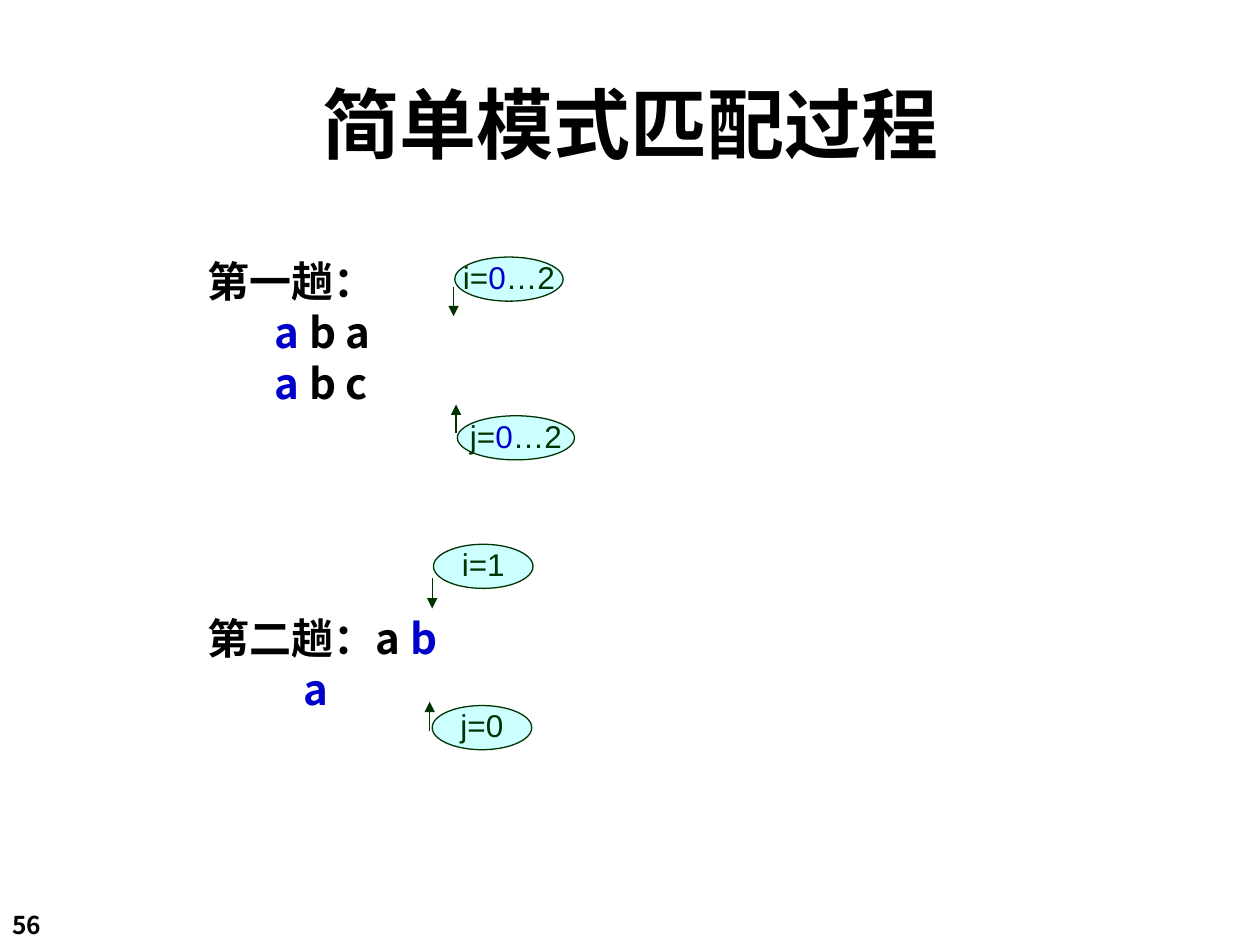
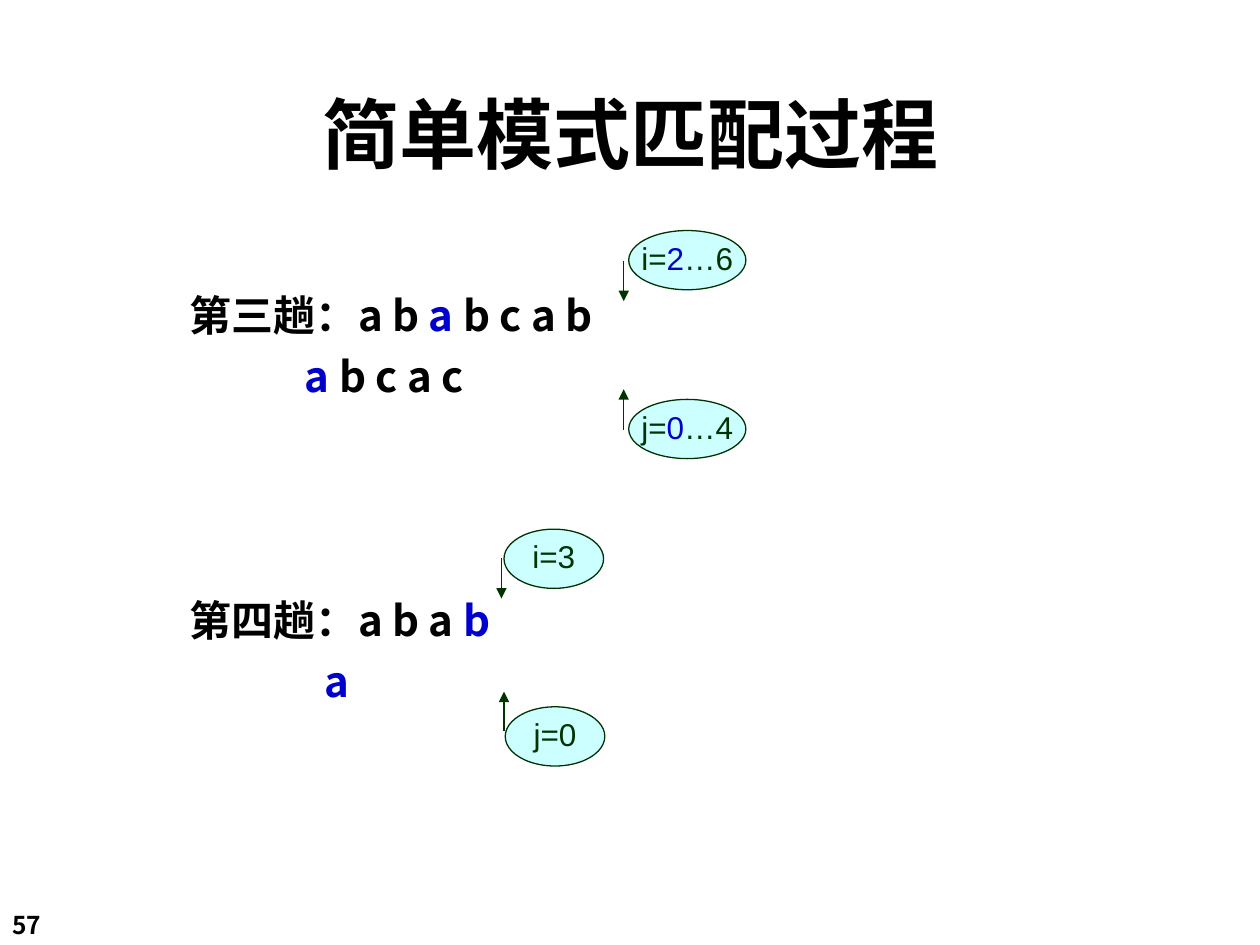
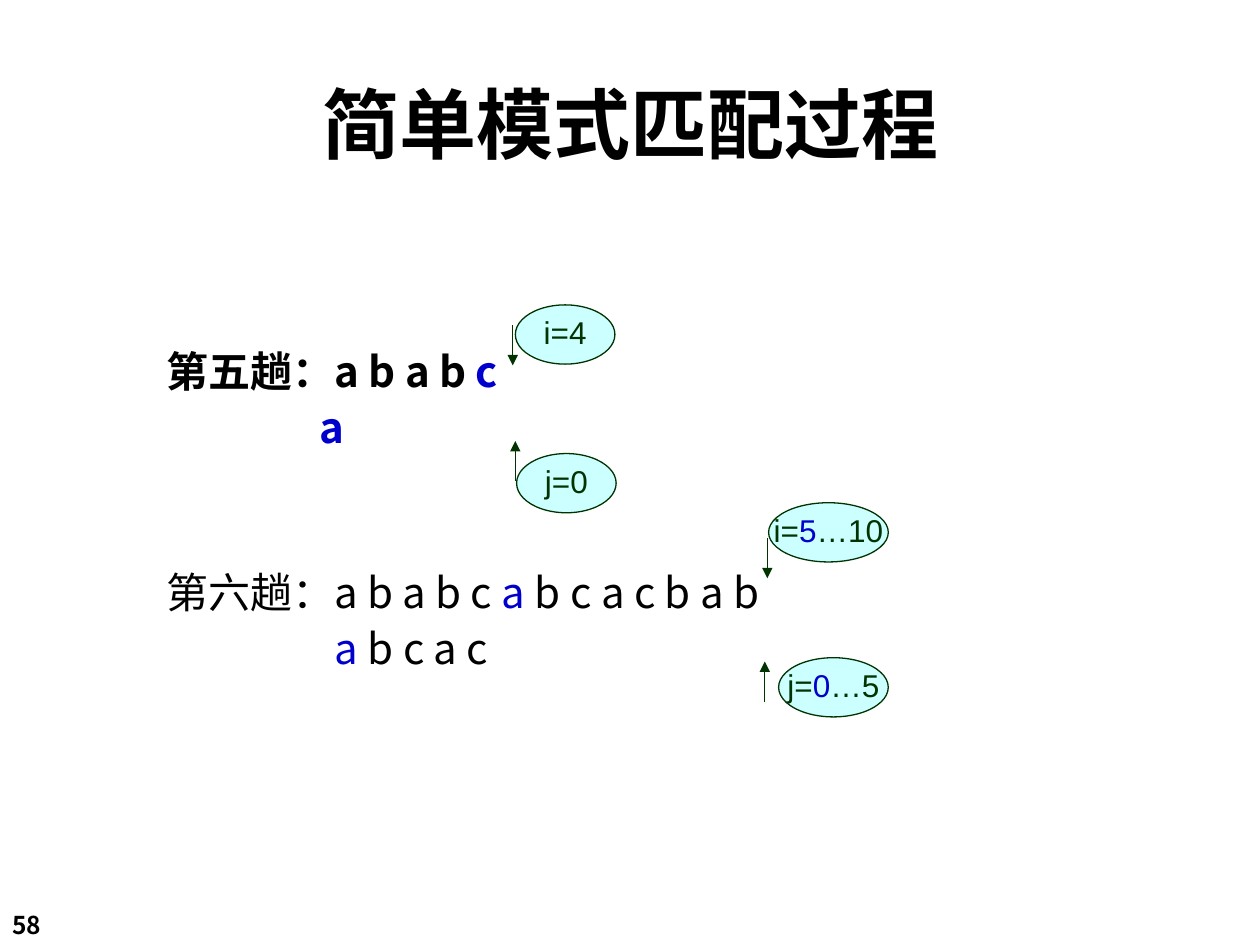
from lxml import etree
from pptx import Presentation
from pptx.dml.color import RGBColor
from pptx.enum.shapes import MSO_CONNECTOR as CONNECTOR, MSO_SHAPE as SHAPE
from pptx.enum.text import MSO_ANCHOR as ANCHOR, PP_ALIGN as ALIGN
from pptx.oxml.ns import qn
from pptx.util import Inches, Pt

BLACK, BLUE, GREEN, CYAN = "000000", "0000CC", "003300", "CCFFFF"
TEXT_FONT, LABEL_FONT = "Noto Sans CJK SC", "Arial"
TITLE = "简单模式匹配过程"
SPACE_WIDTH = 0.076

SLIDES = [
    {
        "number": 56, "title_top": 0.42, "left": 1.55, "pitch": 29,
        "passes": [
            (1.98, True, [(0, ("第一趟：",)), (7, ("", "a", " b a")), (7, ("", "a", " b c"))]),
            (4.81, True, [(0, ("第二趟：a ", "b")), (10, ("", "a"))]),
        ],
        "bubble_height": 0.35,
        "pointers": [
            (("i=", "0", "…2"), (3.61, 2.04, 0.86), (3.6, 2.28, 2.51)),
            (("j=", "0", "…2"), (3.63, 3.3, 0.93), (3.62, 3.44, 3.21)),
            (("i=1",), (3.44, 4.32, 0.79), (3.43, 4.59, 4.83)),
            (("j=0",), (3.43, 5.6, 0.79), (3.41, 5.8, 5.57)),
        ],
    },
    {
        "number": 57, "title_top": 0.5, "left": 1.41, "pitch": 35,
        "passes": [
            (2.16, True, [(0, ("第三趟：a b ", "a", " b c a b")), (12, ("", "a", " b c a c"))]),
            (4.58, True, [(0, ("第四趟：a b a ", "b")), (14, ("", "a"))]),
        ],
        "bubble_height": 0.47,
        "pointers": [
            (("i=", "2", "…6"), (4.99, 1.83, 0.93), (4.95, 2.07, 2.39)),
            (("j=", "0", "…4"), (4.99, 3.17, 0.93), (4.95, 3.41, 3.09)),
            (("i=3",), (4, 4.2, 0.79), (3.98, 4.43, 4.75)),
            (("j=0",), (4.01, 5.61, 0.79), (4, 5.8, 5.49)),
        ],
    },
    {
        "number": 58, "title_top": 0.42, "left": 1.22, "pitch": 32,
        "passes": [
            (2.65, True, [(0, ("第五趟：a b a b ", "c")), (16, ("", "a"))]),
            (4.4, False, [(0, ("第六趟：a b a b c ", "a", " b c a c b a b")),
                          (17.6, ("", "a", " b c a c"))]),
        ],
        "bubble_height": 0.47,
        "pointers": [
            (("i=4",), (4.09, 2.42, 0.79), (4.07, 2.58, 2.9)),
            (("j=0",), (4.1, 3.6, 0.79), (4.09, 3.82, 3.5)),
            (("i=", "5", "…10"), (6.1, 3.99, 0.95), (6.09, 4.27, 4.59)),
            (("j=", "0", "…5"), (6.18, 5.22, 0.87), (6.07, 5.57, 5.25)),
        ],
    },
]


def color(hex_code):
    """Turn a hex string into a colour."""
    return RGBColor.from_string(hex_code)


def write(paragraph, parts, font, size, ink, bold=False):
    """Fill a paragraph with plain, highlighted and plain parts."""
    for part, shade in zip(parts, (ink, BLUE, ink)):
        if not part:
            continue
        run = paragraph.add_run()
        run.text = part
        run.font.name = font
        run.font.size = Pt(size)
        run.font.bold = bold
        run.font.color.rgb = color(shade)
        east_asian = etree.SubElement(run.font._element, qn("a:ea"))
        east_asian.set("typeface", font)


def add_text(slide, box, lines, size, pitch, bold=True):
    """Add a text box whose lines are (indent in spaces, parts) pairs."""
    frame = slide.shapes.add_textbox(*map(Inches, box)).text_frame
    frame.word_wrap = True
    for index, (indent, parts) in enumerate(lines):
        paragraph = frame.add_paragraph() if index else frame.paragraphs[0]
        paragraph.line_spacing = Pt(pitch)
        if indent:
            properties = paragraph._p.get_or_add_pPr()
            properties.set("marL", str(Inches(indent * SPACE_WIDTH)))
            properties.set("indent", "0")
        write(paragraph, parts, TEXT_FONT, size, BLACK, bold)
    return frame


def add_title(slide, top):
    """Add the centred slide title."""
    frame = add_text(slide, (0.42, top, 9.17, 1), [(0, (TITLE,))], 44, 61)
    frame.vertical_anchor = ANCHOR.MIDDLE
    frame.paragraphs[0].alignment = ALIGN.CENTER


def add_arrow(slide, x, start, end):
    """Add a vertical arrow pointing at a character."""
    arrow = slide.shapes.add_connector(
        CONNECTOR.STRAIGHT, Inches(x), Inches(start), Inches(x), Inches(end))
    arrow.line.color.rgb = color(GREEN)
    arrow.line.width = Pt(0.75)
    etree.SubElement(arrow.line._get_or_add_ln(), qn("a:tailEnd"), type="triangle")
    etree.SubElement(arrow._element.spPr, qn("a:effectLst"))


def add_bubble(slide, parts, box):
    """Add an ellipse that shows an index value."""
    bubble = slide.shapes.add_shape(SHAPE.OVAL, *map(Inches, box))
    bubble.shadow.inherit = False
    bubble.fill.solid()
    bubble.fill.fore_color.rgb = color(CYAN)
    bubble.line.color.rgb = color(GREEN)
    bubble.line.width = Pt(0.75)
    frame = bubble.text_frame
    frame.word_wrap = False
    frame.vertical_anchor = ANCHOR.MIDDLE
    label = frame.paragraphs[0]
    label.alignment = ALIGN.CENTER
    label.line_spacing = 0.9
    write(label, parts, LABEL_FONT, 18, GREEN)


def add_slide(deck, content):
    """Build one slide of matching passes."""
    slide = deck.slides.add_slide(deck.slide_layouts[6])
    add_text(slide, (0, 7.17, 0.83, 0.34), [(0, (str(content["number"]),))], 14, 17)
    pitch = content["pitch"]
    for top, bold, lines in content["passes"]:
        add_text(slide, (content["left"], top, 6.6, 1.3), lines, 24, pitch, bold)
    for parts, (left, top, width), arrow in content["pointers"]:
        add_arrow(slide, *arrow)
        add_bubble(slide, parts, (left, top, width, content["bubble_height"]))
    add_title(slide, content["title_top"])


def main():
    """Build and save the deck."""
    deck = Presentation()
    deck.slide_width, deck.slide_height = Inches(10), Inches(7.5)
    for content in SLIDES:
        add_slide(deck, content)
    deck.save("out.pptx")


if __name__ == "__main__":
    main()
